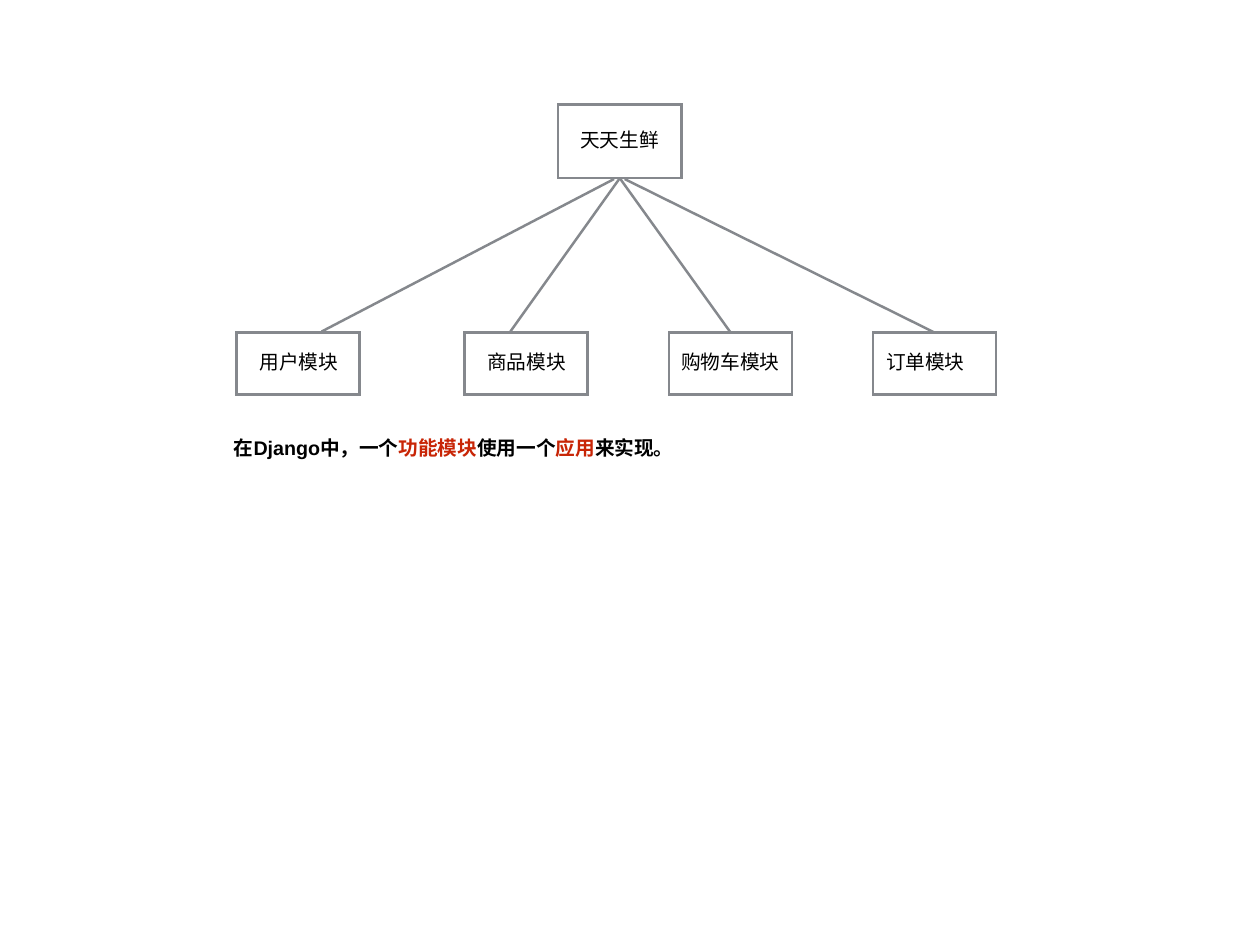
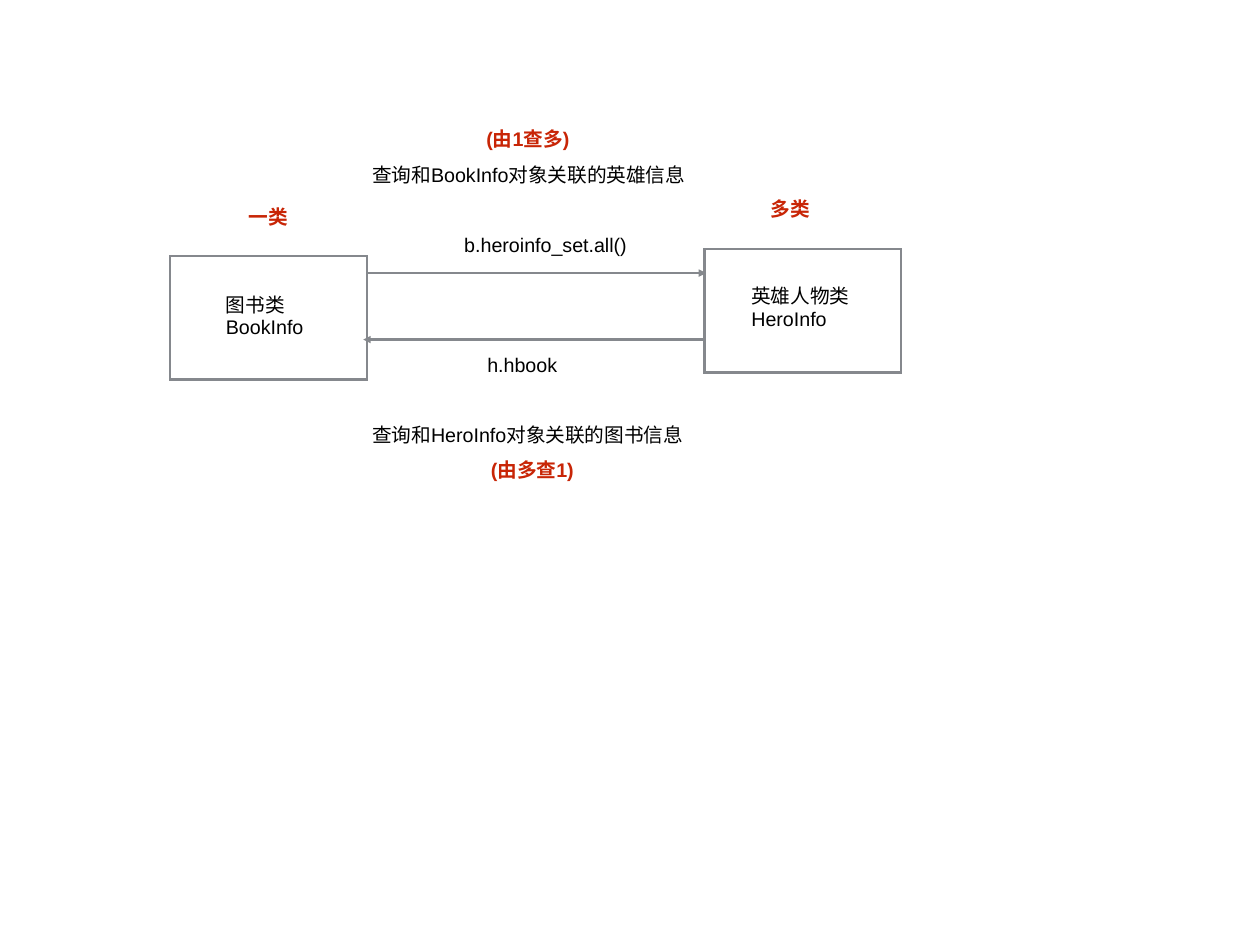
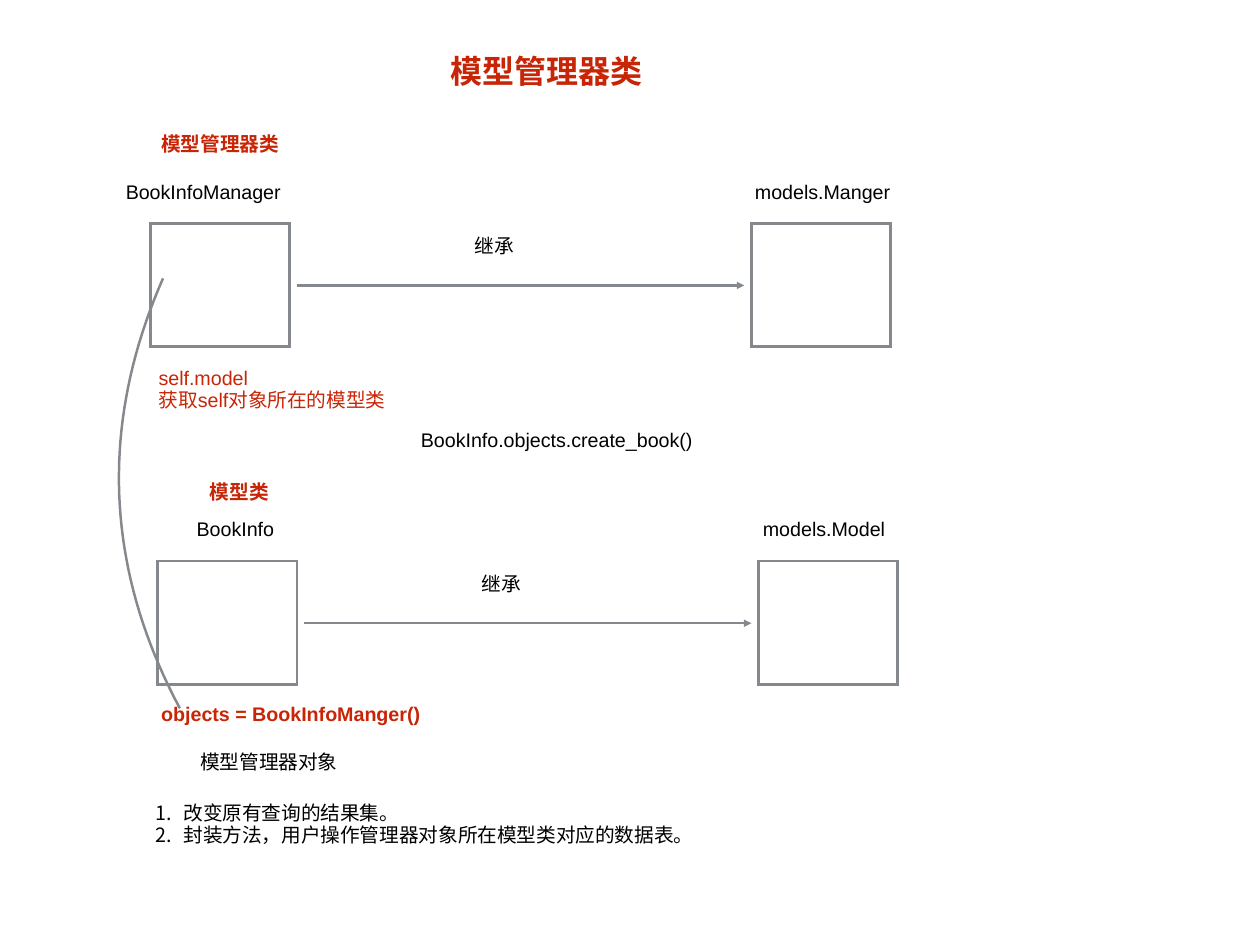
from lxml.etree import SubElement
from pptx import Presentation
from pptx.dml.color import RGBColor
from pptx.enum.shapes import MSO_CONNECTOR as CONN, MSO_SHAPE as SHAPE
from pptx.enum.text import MSO_ANCHOR as ANCHOR, MSO_AUTO_SIZE as AUTO
from pptx.oxml.ns import qn
from pptx.util import Pt

PX = 9144
FONT = "Arial"
BLACK, RED, GRAY = "000000", "C82506", "85888D"


def rgb(hex_color):
    return RGBColor.from_string(hex_color)


def style_outline(sp, arrow=False):
    sp.line.color.rgb = rgb(GRAY)
    sp.line.width = Pt(2)
    ln = sp._element.spPr.find(qn("a:ln"))
    SubElement(ln, qn("a:miter"), lim="800000")
    if arrow:
        SubElement(ln, qn("a:tailEnd"), type="triangle")
    SubElement(sp._element.spPr, qn("a:effectLst"))


prs = Presentation()
prs.slide_width, prs.slide_height = 1422 * PX, 1066 * PX

modules = [
    (267, 287, 100, "用户模块", 363, 693),
    (524, 544, 100, "商品模块", 576, 698),
    (755, 763, 122, "购物车模块", 822, 701),
    (985, 994, 100, "订单模块", 1054, 705),
]
module_slide = {
    "boxes": [(630, 118, 139, 83)] + [(m[0], 375, 139, 70) for m in modules],
    "links": [(m[4], 374, m[5], 202, False) for m in modules],
    "texts": [(649, 142, 100, 35, 16, BLACK, False, ["天天生鲜"])]
    + [(m[1], 392, m[2], 35, 16, BLACK, False, [m[3]]) for m in modules]
    + [(258, 489, 518, 35, 16, BLACK, True,
        [("在Django中，一个", "功能模块", "使用一个", "应用", "来实现。")])],
}

query_slide = {
    "boxes": [(192, 289, 222, 139), (795, 281, 222, 139)],
    "links": [(415, 308, 797, 308, True), (795, 383, 410, 383, True)],
    "texts": [
        (249, 328, 106, 60, 16, BLACK, False, ["图书类", "BookInfo"]),
        (275, 229, 56, 35, 16, RED, True, ["一类"]),
        (842, 318, 122, 60, 16, BLACK, False, ["英雄人物类", "HeroInfo"]),
        (864, 220, 56, 35, 16, RED, True, ["多类"]),
        (414, 181, 383, 35, 16, BLACK, False, ["查询和BookInfo对象关联的英雄信息"]),
        (414, 474, 382, 35, 16, BLACK, False, ["查询和HeroInfo对象关联的图书信息"]),
        (543, 141, 126, 35, 16, RED, True, ["(由1查多)"]),
        (548, 514, 115, 35, 16, RED, True, ["(由多查1)"]),
        (518, 260, 204, 35, 16, BLACK, False, ["b.heroinfo_set.all()"]),
        (544, 395, 97, 35, 16, BLACK, False, ["h.hbook"]),
    ],
}

rows = [(170, 252), (178, 633)]
manager_slide = {
    "boxes": [(x + dx, y, 157, 139) for x, y in rows for dx in (0, 678)],
    "links": [(x + 165, y + 70, x + 670, y + 70, True) for x, y in rows],
    "texts": [(x + 360, y + 9, 56, 35, 16, BLACK, False, ["继承"]) for x, y in rows]
    + [
        (502, 57, 228, 50, 26, RED, True, ["模型管理器类"]),
        (176, 146, 144, 35, 16, RED, True, ["模型管理器类"]),
        (136, 200, 200, 35, 16, BLACK, False, ["BookInfoManager"]),
        (846, 200, 175, 35, 16, BLACK, False, ["models.Manger"]),
        (173, 410, 280, 60, 16, RED, False, ["self.model", "获取self对象所在的模型类"]),
        (469, 480, 334, 35, 16, BLACK, False, ["BookInfo.objects.create_book()"]),
        (231, 539, 78, 35, 16, RED, True, ["模型类"]),
        (216, 580, 106, 35, 16, BLACK, False, ["BookInfo"]),
        (855, 580, 159, 35, 16, BLACK, False, ["models.Model"]),
        (176, 789, 304, 35, 16, RED, True, ["objects = BookInfoManger()"]),
        (220, 843, 166, 35, 16, BLACK, False, ["模型管理器对象"]),
        (170, 901, 618, 60, 16, BLACK, False,
         ["改变原有查询的结果集。", "封装方法，用户操作管理器对象所在模型类对应的数据表。"]),
    ],
}

for content in (module_slide, query_slide, manager_slide):
    s = prs.slides.add_slide(prs.slide_layouts[6])

    sides = []
    for x, y, w, h in content["boxes"]:
        sp = s.shapes.add_shape(SHAPE.RECTANGLE, x * PX, y * PX, w * PX, h * PX)
        sp.fill.background()
        style_outline(sp)
        middles = [(x + w / 2, y), (x, y + h / 2), (x + w / 2, y + h), (x + w, y + h / 2)]
        sides += [(sp, site, mx, my) for site, (mx, my) in enumerate(middles)]

    for x1, y1, x2, y2, arrow in content["links"]:
        link = s.shapes.add_connector(CONN.STRAIGHT, x1 * PX, y1 * PX, x2 * PX, y2 * PX)
        style_outline(link, arrow)
        for join, x, y in ((link.begin_connect, x1, y1), (link.end_connect, x2, y2)):
            for sp, site, mx, my in sides:
                if abs(x - mx) < 3 and abs(y - my) < 3:
                    join(sp, site)

    for x, y, w, h, size, color, bold, lines in content["texts"]:
        tf = s.shapes.add_textbox(x * PX, y * PX, w * PX, h * PX).text_frame
        tf.word_wrap = False
        tf.auto_size = AUTO.SHAPE_TO_FIT_TEXT
        tf.vertical_anchor = ANCHOR.MIDDLE
        tf.margin_left = tf.margin_top = tf.margin_bottom = 6 * PX
        tf.margin_right = 0
        for i, line in enumerate(lines):
            p = tf.paragraphs[0] if i == 0 else tf.add_paragraph()
            p.line_spacing = 0.9
            if i:
                p.space_before = Pt(1)
            runs = (line,) if isinstance(line, str) else line
            for j, part in enumerate(runs):
                r = p.add_run()
                r.text = part
                r.font.name = FONT
                r.font.size = Pt(size)
                r.font.bold = bold
                r.font.color.rgb = rgb(RED if j % 2 else color)

for p in tf.paragraphs:
    pPr = p._p.get_or_add_pPr()
    pPr.set("marL", str(31 * PX))
    pPr.set("indent", str(-31 * PX))
    SubElement(pPr, qn("a:buAutoNum"), type="arabicPeriod")

curve = [(203, 799), (118, 640), (112, 478), (184, 314)]
steps = 40
points = []
for k in range(steps + 1):
    t = k / steps
    weights = ((1 - t) ** 3, 3 * t * (1 - t) ** 2, 3 * t ** 2 * (1 - t), t ** 3)
    points.append(tuple(round(PX * sum(c * pt[axis] for c, pt in zip(weights, curve)))
                        for axis in (0, 1)))
builder = s.shapes.build_freeform(*points[0])
builder.add_line_segments(points[1:], close=False)
sp = builder.convert_to_shape()
sp.fill.background()
style_outline(sp)

prs.save("out.pptx")
